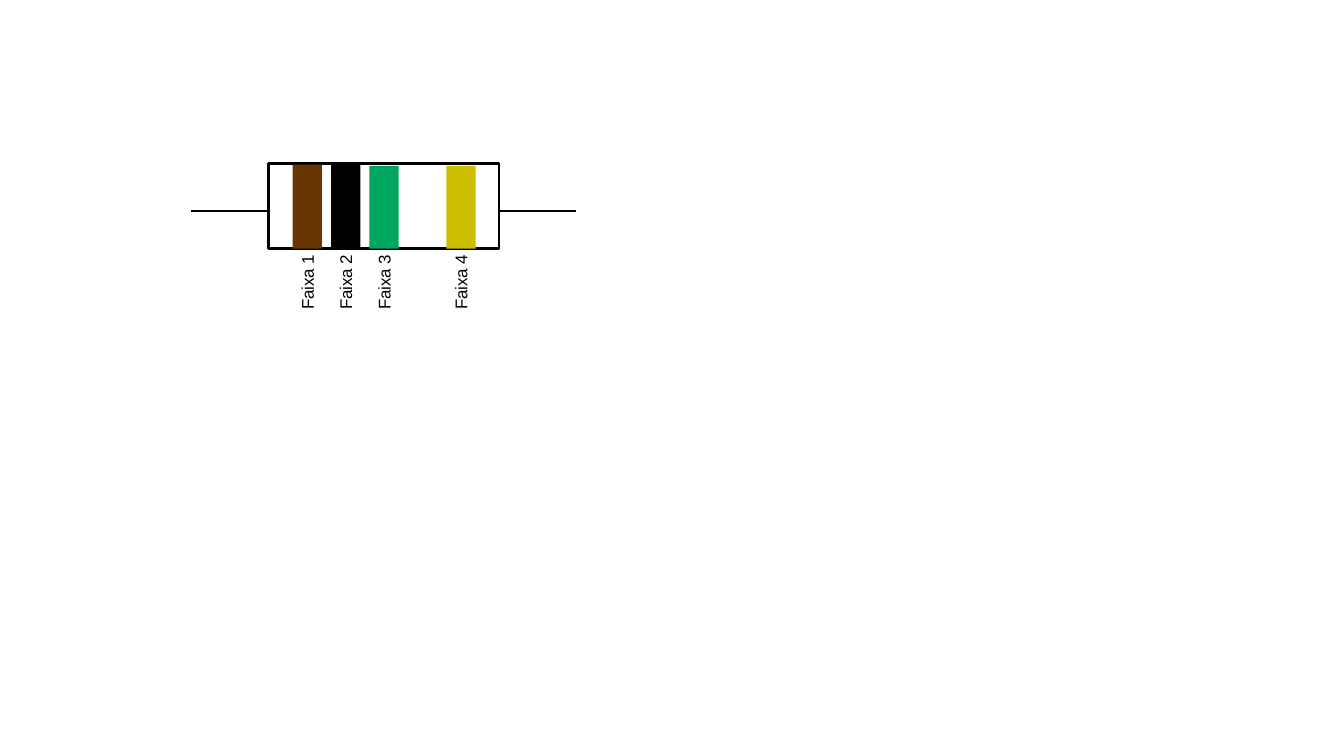
from pptx import Presentation
from pptx.dml.color import RGBColor
from pptx.enum.shapes import MSO_CONNECTOR, MSO_SHAPE
from pptx.enum.text import MSO_AUTO_SIZE
from pptx.oxml.ns import qn
from pptx.util import Inches, Pt
from lxml.etree import SubElement

COLORS = {
    "black": "000000",
    "white": "FFFFFF",
    "brown": "673604",
    "green": "00A65D",
    "gold": "CCBE00",
}
BANDS = [
    ("Faixa 1", "brown", 0),
    ("Faixa 2", "black", 1),
    ("Faixa 3", "green", 2),
    ("Faixa 4", "gold", 4),
]
LINE_WIDTH = 1.42


def rgb(name):
    return RGBColor.from_string(COLORS[name])


def add_text(s, text, x, y, w, h, size=10, font="Arial", color="black", rotation=0):
    sp = s.shapes.add_textbox(Inches(x), Inches(y), Inches(w), Inches(h))
    sp.rotation = rotation
    tf = sp.text_frame
    tf.word_wrap = True
    tf.auto_size = MSO_AUTO_SIZE.NONE
    tf.margin_right = 0
    r = tf.paragraphs[0].add_run()
    r.text = text
    r.font.size = Pt(size)
    r.font.name = font
    r.font.color.rgb = rgb(color)


def add_rect(s, x, y, w, h, fill, line=None):
    sp = s.shapes.add_shape(
        MSO_SHAPE.RECTANGLE, Inches(x), Inches(y), Inches(w), Inches(h))
    sp.shadow.inherit = False
    sp.fill.solid()
    sp.fill.fore_color.rgb = rgb(fill)
    if line:
        sp.line.color.rgb = rgb(line)
        sp.line.width = Pt(LINE_WIDTH)
    else:
        sp.line.fill.background()


def add_lead(s, x, y, w):
    lead = s.shapes.add_connector(
        MSO_CONNECTOR.STRAIGHT, Inches(x), Inches(y), Inches(x + w), Inches(y))
    lead.line.color.rgb = rgb("black")
    lead.line.width = Pt(LINE_WIDTH)
    SubElement(lead._element.spPr, qn("a:effectLst"))


def add_resistor(s, x, y, w, h):
    body_x, body_w = x + w / 5, w * 3 / 5
    band_w, label_w, label_h = 0.24, 0.65, 0.25
    pitch = w / 10
    add_lead(s, x, y + 0.39, w)
    add_rect(s, body_x, y, body_w, h, "white", line="black")
    for label, color, slot in BANDS:
        band_x = body_x + 0.2 + slot * pitch
        top = 0.01 if slot < 2 else 0.02
        add_rect(s, band_x, y + top, band_w, h - top, color)
        add_text(s, label, band_x + (band_w - label_w) / 2 - 0.01, y + h + 0.15,
                 label_w, label_h, rotation=270)


def main():
    prs = Presentation()
    prs.slide_width, prs.slide_height = Inches(11.02), Inches(6.2)
    s = prs.slides.add_slide(prs.slide_layouts[6])
    add_resistor(s, 1.57, 1.34, 3.15, 0.7)
    prs.save("out.pptx")


if __name__ == "__main__":
    main()
